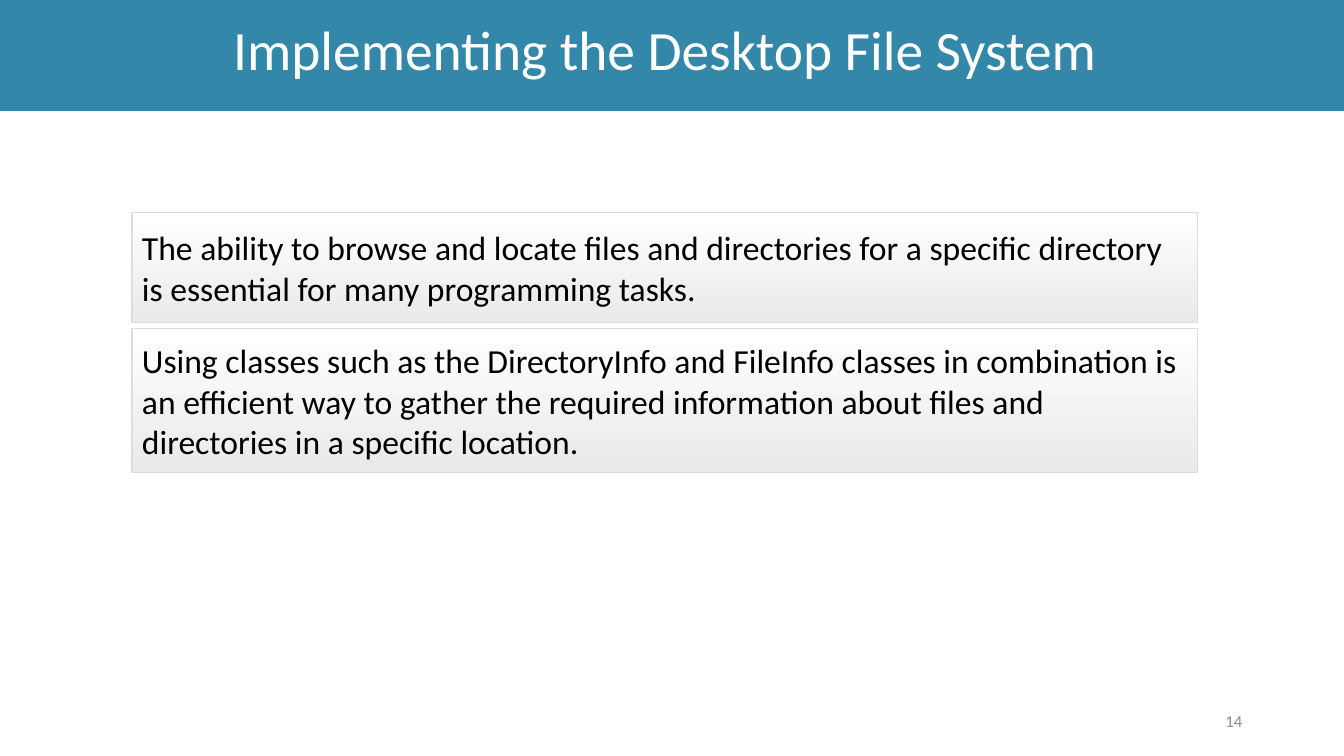
from dataclasses import dataclass

from pptx import Presentation
from pptx.dml.color import RGBColor
from pptx.enum.shapes import MSO_SHAPE
from pptx.enum.text import MSO_ANCHOR, MSO_AUTO_SIZE, PP_ALIGN
from pptx.util import Inches, Pt


@dataclass(frozen=True)
class Theme:
    """Font, colours and type sizes of the slide."""
    font: str = "Calibri"
    banner: str = "3388A9"
    title_text: str = "FFFFFF"
    body_text: str = "000000"
    number_text: str = "8C8C8C"
    panel_top: str = "FFFFFF"
    panel_bottom: str = "EAEAEA"
    panel_line: str = "DDDDDD"
    title_size: float = 39.6
    body_size: float = 24
    number_size: float = 12


THEME = Theme()
TITLE = "Implementing the Desktop File System"
STATEMENTS = [
    (1.09, "The ability to browse and locate files and directories for a "
           "specific directory is essential for many programming tasks."),
    (1.43, "Using classes such as the DirectoryInfo and FileInfo classes in "
           "combination is an efficient way to gather the required "
           "information about files and directories in a specific location."),
]


def rgb(value):
    """Return the colour for a hex string."""
    return RGBColor.from_string(value)


def write(shape, text, size, color, align):
    """Put one vertically centred, wrapped paragraph in a shape."""
    frame = shape.text_frame
    frame.word_wrap = True
    frame.auto_size = MSO_AUTO_SIZE.NONE
    frame.vertical_anchor = MSO_ANCHOR.MIDDLE
    paragraph = frame.paragraphs[0]
    paragraph.alignment = align
    run = paragraph.add_run()
    run.text = text
    run.font.name = THEME.font
    run.font.size = Pt(size)
    run.font.color.rgb = rgb(color)


def add_banner(slide, left, top, width, height):
    """Format the title placeholder as a full-width banner."""
    title = slide.shapes.title
    title.left, title.top = Inches(left), Inches(top)
    title.width, title.height = Inches(width), Inches(height)
    title.fill.solid()
    title.fill.fore_color.rgb = rgb(THEME.banner)
    write(title, TITLE, THEME.title_size, THEME.title_text, PP_ALIGN.CENTER)
    title.text_frame.margin_right = Inches(0.24)
    title.text_frame.margin_bottom = Inches(0.1)
    title.text_frame.paragraphs[0].line_spacing = 0.9


def add_statements(slide, left, top, width, gap):
    """Stack the statement panels downwards from the given corner."""
    for height, text in STATEMENTS:
        panel = slide.shapes.add_shape(
            MSO_SHAPE.RECTANGLE, Inches(left), Inches(top),
            Inches(width), Inches(height))
        panel.shadow.inherit = False
        panel.fill.gradient()
        panel.fill.gradient_angle = 270
        stops = zip(panel.fill.gradient_stops,
                    (THEME.panel_top, THEME.panel_bottom), (0, 1))
        for stop, color, position in stops:
            stop.color.rgb = rgb(color)
            stop.position = position
        panel.line.color.rgb = rgb(THEME.panel_line)
        panel.line.width = Pt(1)
        write(panel, text, THEME.body_size, THEME.body_text, PP_ALIGN.LEFT)
        top += height + gap


def add_slide_number(slide, left, top, width, height):
    """Add the right-aligned slide number."""
    box = slide.shapes.add_textbox(
        Inches(left), Inches(top), Inches(width), Inches(height))
    write(box, "14", THEME.number_size, THEME.number_text, PP_ALIGN.RIGHT)


def main():
    """Build and save the slide."""
    deck = Presentation()
    deck.slide_width, deck.slide_height = Inches(13.33), Inches(7.5)
    slide = deck.slides.add_slide(deck.slide_layouts.get_by_name("Title Only"))
    add_banner(slide, 0, 0, 13.33, 1.1)
    add_slide_number(slide, 9.42, 6.95, 3, 0.4)
    add_statements(slide, 1.31, 2.11, 10.57, 0.06)
    deck.save("out.pptx")


main()
